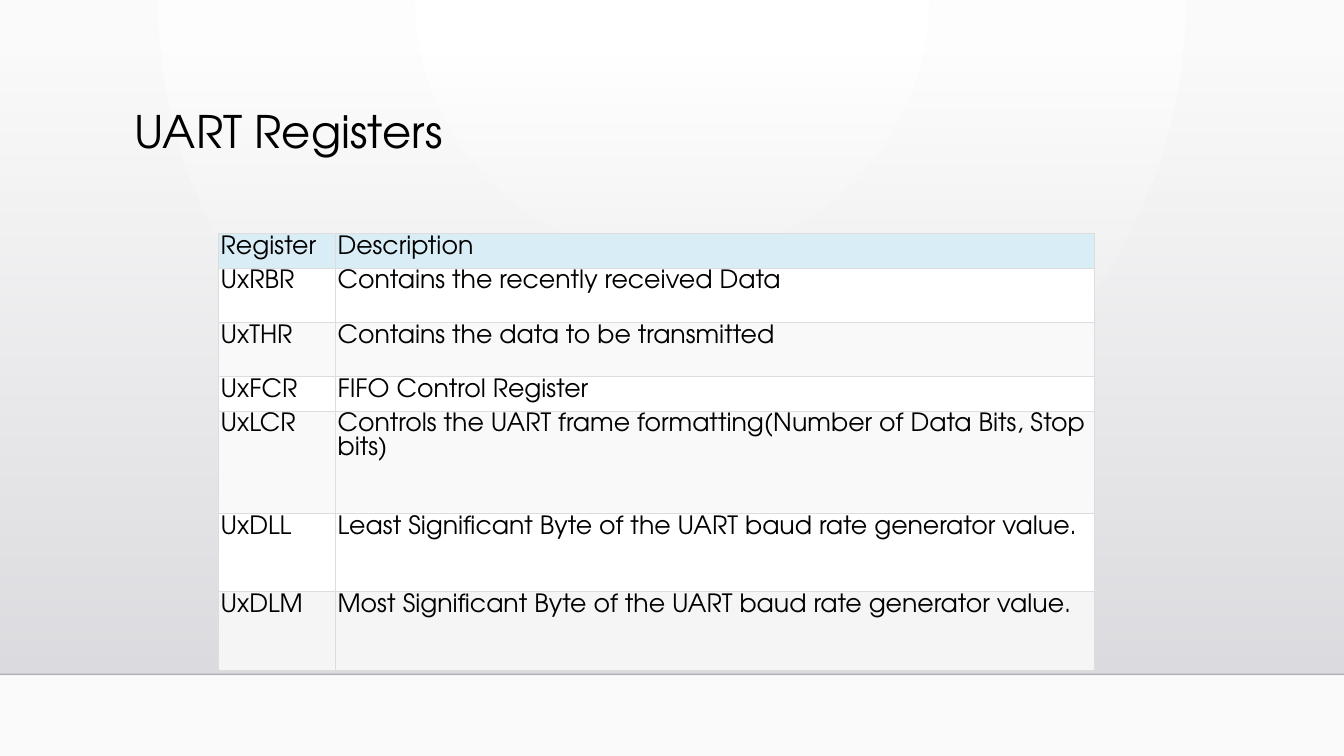
from lxml import etree
from pptx import Presentation
from pptx.dml.color import RGBColor
from pptx.enum import shapes, text
from pptx.oxml import ns
from pptx.util import Pt

FONT = "TeX Gyre Adventor"
COLORS = {
    "text": "000000", "floor_line": "000001", "border": "DDDDDD",
    "glow": "FFFFFF", "backdrop": "FAFAFA",
    "wall_top": "DCDCE0", "wall_bottom": "DEDEE2",
    "header": "D9EDF7", "plain": "FFFFFF", "band": "F9F9F9", "last": "F5F5F5",
}
SLIDE_W, SLIDE_H = 960, 540
FLOOR_Y = 481.7
COLUMN_WIDTHS = (83.5, 542)
REGISTERS = [
    ("Register", "Description", 21.6, "header"),
    ("UxRBR", "Contains the recently received Data", 38.7, "plain"),
    ("UxTHR", "Contains the data to be transmitted", 38.7, "band"),
    ("UxFCR", "FIFO Control Register", 21.6, "plain"),
    ("UxLCR", "Controls the UART frame formatting(Number of Data Bits, Stop bits)",
     73.2, "band"),
    ("UxDLL", "Least Significant Byte of the UART baud rate generator value.",
     56, "plain"),
    ("UxDLM", "Most Significant Byte of the UART baud rate generator value.",
     56, "last"),
]


def rgb(name):
    return RGBColor.from_string(COLORS[name])


def add_element(parent, tag, **attributes):
    return etree.SubElement(parent, ns.qn(tag), attributes)


def set_format(target, **values):
    for name, value in values.items():
        setattr(target, name, value)


def write(frame, words, size, **paragraph_format):
    paragraph = frame.paragraphs[0]
    set_format(paragraph, **paragraph_format)
    run = paragraph.add_run()
    run.text = words
    set_format(run.font, name=FONT, size=Pt(size))
    run.font.color.rgb = rgb("text")


def set_gradient(fill, start, end):
    """Apply a two-stop gradient and return its XML element."""
    fill.gradient()
    for stop, name in zip(fill.gradient_stops, (start, end)):
        stop.color.rgb = rgb(name)
    fill.gradient_stops[0].position = 0
    fill.gradient_stops[1].position = 1
    return fill.gradient_stops[0].color._xFill.getparent().getparent()


def add_backdrop(slide):
    """Fill the background with a glow spreading from the top centre."""
    gradient = set_gradient(slide.background.fill, "glow", "backdrop")
    gradient.remove(gradient.find(ns.qn("a:lin")))
    circle = add_element(gradient, "a:path", path="circle")
    add_element(circle, "a:fillToRect", l="43000", t="0", r="43000", b="100000")


def add_wall(slide, left, top, width, height):
    """Draw the fading wall and the line where it meets the floor."""
    wall = slide.shapes.add_shape(
        shapes.MSO_SHAPE.RECTANGLE, Pt(left), Pt(top), Pt(width), Pt(height))
    wall.shadow.inherit = False
    wall.line.fill.background()
    gradient = set_gradient(wall.fill, "wall_top", "wall_bottom")
    gradient.find(ns.qn("a:lin")).set("ang", "5400000")
    add_element(gradient.find(".//" + ns.qn("a:srgbClr")), "a:alpha", val="0")

    bottom = top + height
    floor = slide.shapes.add_connector(
        shapes.MSO_CONNECTOR.STRAIGHT, Pt(left), Pt(bottom), Pt(left + width), Pt(bottom))
    floor.line.width = Pt(1)
    floor.line.color.rgb = rgb("floor_line")
    properties = floor._element.spPr
    add_element(properties.find(".//" + ns.qn("a:srgbClr")), "a:alpha", val="20000")
    add_element(properties, "a:effectLst")


def add_title(slide, left, top, width, height):
    title = slide.shapes.add_textbox(Pt(left), Pt(top), Pt(width), Pt(height))
    set_format(title.text_frame, word_wrap=True,
               vertical_anchor=text.MSO_ANCHOR.TOP)
    write(title.text_frame, "UART Registers", 32, line_spacing=0.9)


def add_borders(cell):
    properties = cell._tc.get_or_add_tcPr()
    for index, side in enumerate(("a:lnL", "a:lnR", "a:lnT", "a:lnB")):
        border = etree.Element(ns.qn(side), w=str(Pt(0.5)))
        solid = add_element(border, "a:solidFill")
        add_element(solid, "a:srgbClr", val=COLORS["border"])
        properties.insert(index, border)


def add_register_table(slide, left, top, width, height):
    table = slide.shapes.add_table(
        len(REGISTERS), len(COLUMN_WIDTHS),
        Pt(left), Pt(top), Pt(width), Pt(height)).table
    for column, column_width in zip(table.columns, COLUMN_WIDTHS):
        column.width = Pt(column_width)
    margins = {f"margin_{side}": Pt(1.5)
               for side in ("left", "right", "top", "bottom")}
    for row, (register, description, row_height, shade) in zip(table.rows, REGISTERS):
        row.height = Pt(row_height)
        for cell, words in zip(row.cells, (register, description)):
            set_format(cell, vertical_anchor=text.MSO_ANCHOR.TOP, **margins)
            cell.fill.solid()
            cell.fill.fore_color.rgb = rgb(shade)
            add_borders(cell)
            write(cell.text_frame, words, 18)
            cell.text_frame.paragraphs[0].runs[0].font.bold = False


def main():
    deck = Presentation()
    deck.slide_width, deck.slide_height = Pt(SLIDE_W), Pt(SLIDE_H)
    slide = deck.slides.add_slide(deck.slide_layouts[6])
    add_backdrop(slide)
    add_wall(slide, 0, 36.7, SLIDE_W, FLOOR_Y - 36.7)
    add_title(slide, 89.3, 74.9, 756, 82.8)
    add_register_table(slide, 156.2, 167, sum(COLUMN_WIDTHS),
                       sum(row[2] for row in REGISTERS))
    deck.save("out.pptx")


if __name__ == "__main__":
    main()
